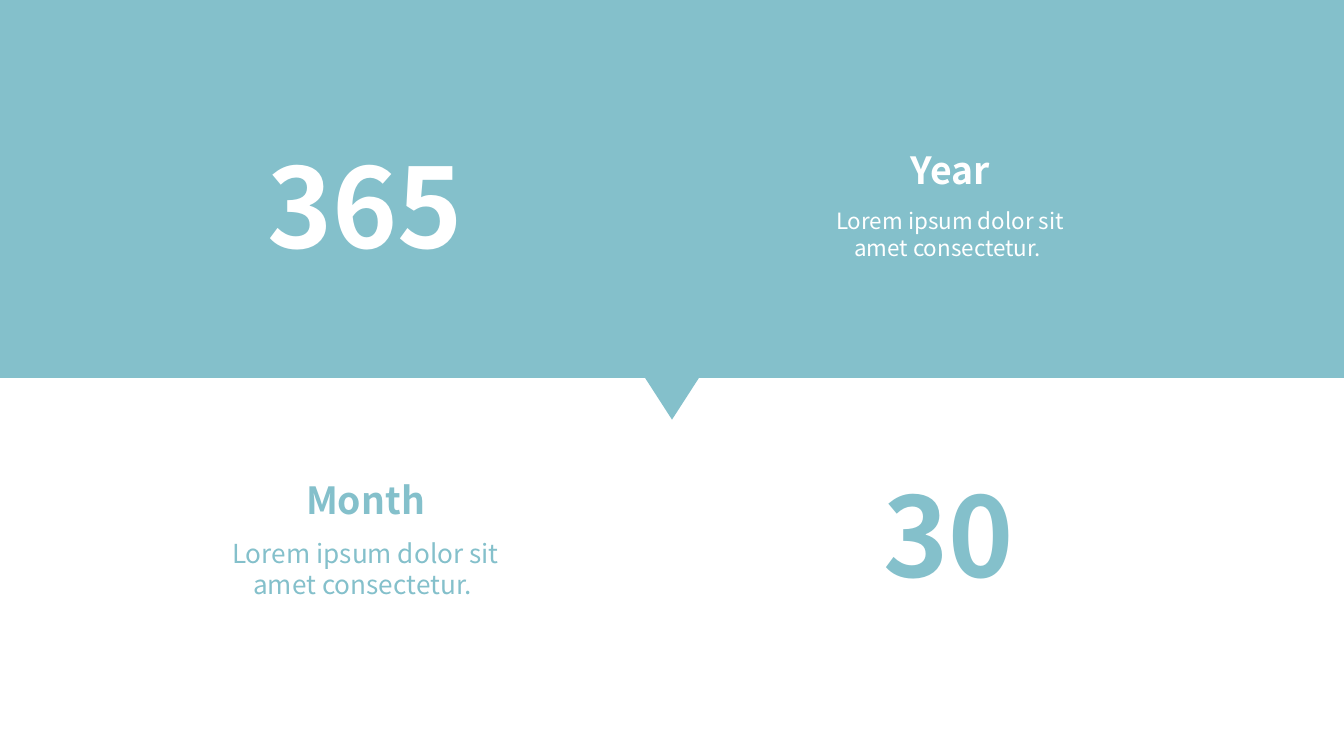
from dataclasses import dataclass

from pptx import Presentation
from pptx import util as u
from pptx.dml.color import RGBColor
from pptx.enum import shapes, text

TEAL, WHITE = "84C0CB", "FFFFFF"
FONT = "Noto Sans CJK KR"
WIDTH = 10
HEIGHT = WIDTH * 9 / 16
BAND_H = HEIGHT / 2
LABEL_W, LABEL_H = 2.3, 0.98
BODY = "Lorem ipsum dolor sit amet consectetur. "


@dataclass
class Stat:
    number: str
    number_at: tuple[float, float]
    unit: str
    unit_at: tuple[float, float]
    body_size: float
    color: str


STATS = [
    Stat("365", (1.57, 1.03), "Year", (5.92, 0.77), 12, WHITE),
    Stat("30", (5.91, 3.48), "Month", (1.57, 3.23), 14, TEAL),
]


def rgb(color: str) -> RGBColor:
    return RGBColor.from_string(color)


def add_block(s, kind, left: float, top: float, width: float, height: float):
    sp = s.shapes.add_shape(kind, u.Inches(left), u.Inches(top),
                            u.Inches(width), u.Inches(height))
    sp.shadow.inherit = False
    sp.fill.solid()
    sp.fill.fore_color.rgb = rgb(TEAL)
    sp.line.fill.background()
    return sp


def add_text(s, words: str, left: float, top: float, width: float, height: float,
             size: float, color: str, bold: bool = True):
    """Adds a centred text box and returns its paragraph."""
    sp = s.shapes.add_textbox(u.Inches(left), u.Inches(top),
                              u.Inches(width), u.Inches(height))
    tf = sp.text_frame
    tf.word_wrap = True
    tf.vertical_anchor = text.MSO_ANCHOR.MIDDLE if bold else text.MSO_ANCHOR.TOP
    p = tf.paragraphs[0]
    p.text = words
    p.alignment = text.PP_ALIGN.CENTER
    p.font.name, p.font.size, p.font.bold = FONT, u.Pt(size), bold
    p.font.color.rgb = rgb(color)
    return p


def add_stat(s, stat: Stat) -> None:
    left, top = stat.unit_at
    p = add_text(s, BODY, left + 0.01, top + 0.72, 2.28, 0.77,
                 stat.body_size, stat.color, bold=False)
    p.space_before = u.Pt(stat.body_size * 0.2)
    add_text(s, stat.unit, left, top, LABEL_W, LABEL_H, 20, stat.color)
    add_text(s, stat.number, *stat.number_at, LABEL_W, LABEL_H, 59.2, stat.color)


prs = Presentation()
prs.slide_width, prs.slide_height = u.Inches(WIDTH), u.Inches(HEIGHT)
s = prs.slides.add_slide(prs.slide_layouts[6])

# Upper band with its pointer
add_block(s, shapes.MSO_SHAPE.RECTANGLE, -0.02, 0, WIDTH + 0.02, BAND_H)
pointer = add_block(s, shapes.MSO_SHAPE.ISOSCELES_TRIANGLE, 4.8, BAND_H, 0.4, 0.31)
pointer.rotation = 180

# Numbers with their units
for stat in STATS:
    add_stat(s, stat)

prs.save("out.pptx")
